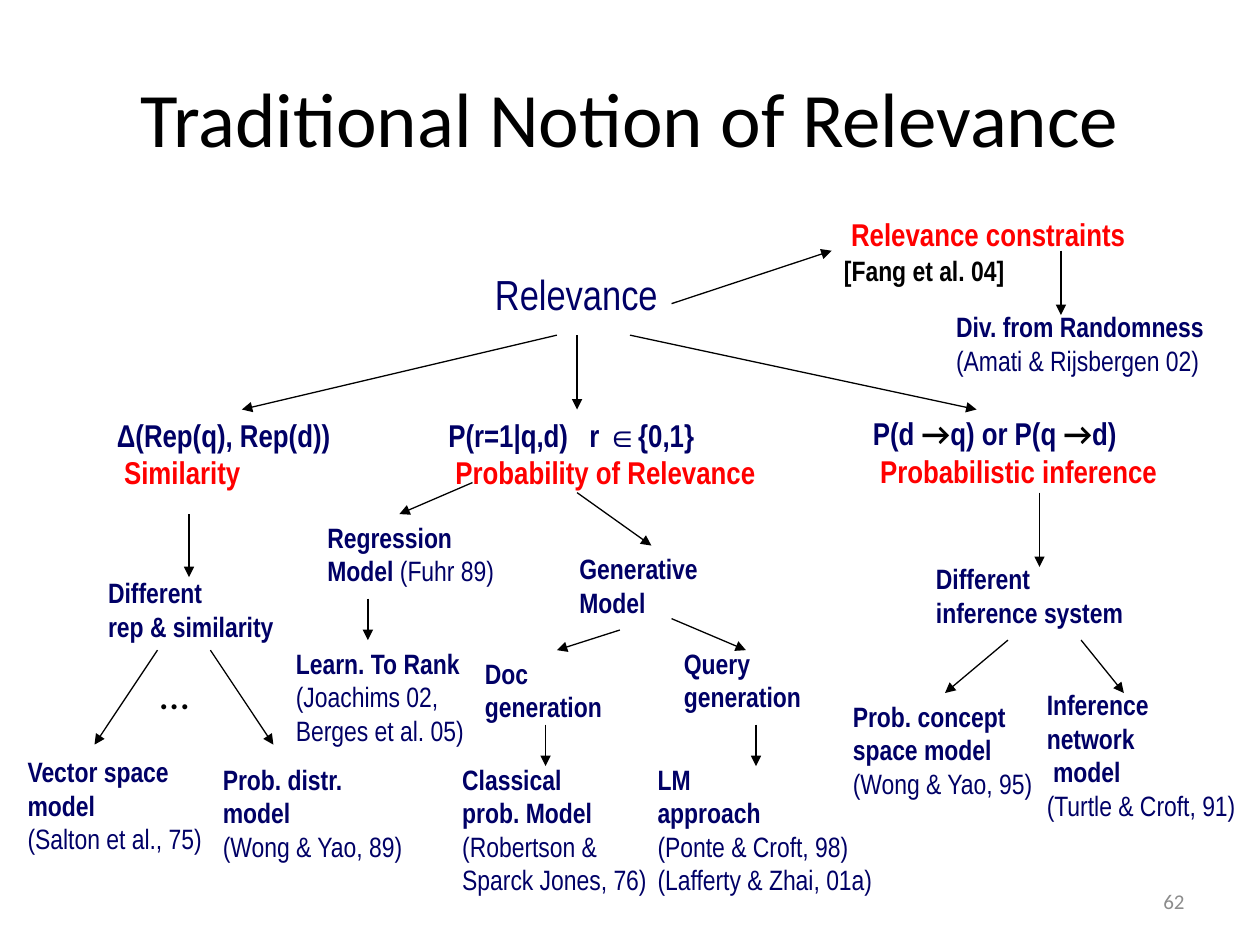
"""Build a slide showing a tree of traditional notions of relevance."""
import pptx
import pptx.util
import pptx.dml.color
import pptx.enum.shapes
import pptx.enum.text
import pptx.oxml
import pptx.oxml.ns

Inches = pptx.util.Inches
ALIGN = pptx.enum.text.PP_ALIGN
ANCHOR = pptx.enum.text.MSO_ANCHOR
FIT = pptx.enum.text.MSO_AUTO_SIZE
SLACK = 0.04

COLORS = {"navy": "000066", "red": "FF0000", "black": "000000", "gray": "8C8C8C"}


def style(size, color, bold=False, name="Arial Narrow"):
    return {"size": pptx.util.Pt(size), "bold": bold, "name": name, "color": color}


STYLES = {
    "title": style(44, "black", name="Calibri"),
    "root": style(24, "navy"),
    "head": style(18, "navy", True),
    "kind": style(18, "red", True),
    "sign": style(18, "black", True, "Calibri"),
    "model": style(16, "navy", True),
    "cite": style(16, "navy"),
    "note": style(16, "black", True),
    "dots": style(24, "black", name="Calibri"),
    "page": style(12, "gray", name="Calibri"),
}

BRANCHES = [
    (0.83, 3.25, 2.13, [[("head", "Δ(Rep(q), Rep(d))")], [("kind", " Similarity")]]),
    (3.46, 3.25, 2.64, [[("head", "P(r=1|q,d)\tr ∈{0,1}")],
                        [("kind", " Probability of Relevance")]]),
    (6.83, 3.24, 2.46, [[("head", "P(d "), ("sign", "→"), ("head", "q) or P(q "),
                         ("sign", "→"), ("head", "d)")],
                        [("kind", " Probabilistic inference")]]),
    (6.6, 1.66, 2.46, [[("kind", " Relevance constraints")],
                       [("note", "[Fang et al. 04]")]]),
    (2.5, 4.08, 1.54, [[("model", "Regression")],
                       [("model", "Model "), ("cite", "(Fuhr 89)")]]),
    (3.83, 2.08, 1.5, [[("root", "Relevance")]]),
    (1.17, 5.25, 0.53, [[("dots", "…")]]),
]

MODELS = [
    (0.76, 4.52, 1.56, ["Different", "rep & similarity"], []),
    (0.12, 5.94, 1.58, ["Vector space", "model"], ["(Salton et al., 75)"]),
    (1.67, 6, 1.64, ["Prob. distr.", "model"], ["(Wong & Yao, 89)"]),
    (4.5, 4.33, 1.14, ["Generative", "Model"], []),
    (3.57, 6, 1.67, ["Classical", "prob. Model"], ["(Robertson &", "Sparck Jones, 76)"]),
    (3.75, 5.16, 1.13, ["Doc", "generation"], []),
    (5.33, 5.08, 1.13, ["Query", "generation"], []),
    (5.12, 6, 1.91, ["LM", "approach"], ["(Ponte & Croft, 98)", "(Lafferty & Zhai, 01a)"]),
    (6.67, 5.5, 1.64, ["Prob. concept", "space model"], ["(Wong & Yao, 95)"]),
    (7.33, 4.41, 1.68, ["Different", "inference system"], []),
    (8.21, 5.41, 1.7, ["Inference", "network", " model"], ["(Turtle & Croft, 91)"]),
    (7.49, 2.41, 2.19, ["Div. from Randomness"], ["(Amati & Rijsbergen 02)"]),
    (2.25, 5.08, 1.55, ["Learn. To Rank"], ["(Joachims 02,", "Berges et al. 05)"]),
]

ARROWS = [
    (4.42, 2.66, 1.92, 3.25), (4.58, 2.66, 4.58, 3.25), (5, 2.66, 7.75, 3.25),
    (5.33, 2.41, 6.6, 1.99), (8.42, 1.99, 8.42, 2.5),
    (1.5, 4.08, 1.5, 4.58), (1.25, 5.16, 0.75, 5.91), (1.67, 5.16, 2.17, 5.91),
    (3.75, 3.83, 3.17, 4.08), (4.58, 3.91, 5.17, 4.33), (2.92, 4.75, 2.92, 5.08),
    (4.92, 5, 4.42, 5.16), (5.33, 4.91, 5.92, 5.16),
    (4.33, 5.75, 4.33, 6.08), (6, 5.75, 6, 6.08),
    (8.25, 3.91, 8.25, 4.5), (8, 5.08, 7.5, 5.5), (8.58, 5.08, 8.92, 5.5),
]


def rgb(name):
    return pptx.dml.color.RGBColor.from_string(COLORS[name])


def add_tab(para, place):
    tabs = pptx.oxml.parse_xml(
        f'<a:tabLst {pptx.oxml.ns.nsdecls("a")}>'
        f'<a:tab pos="{Inches(place)}" algn="l"/></a:tabLst>')
    para._p.get_or_add_pPr().append(tabs)


def add_run(para, kind, text):
    run = para.add_run()
    run.text = text
    for key, value in STYLES[kind].items():
        if key == "color":
            run.font.color.rgb = rgb(value)
        else:
            setattr(run.font, key, value)


def add_text(slide, box, lines, align=ALIGN.LEFT, **form):
    shape = slide.shapes.add_textbox(*map(Inches, box))
    frame = shape.text_frame
    for key, value in form.items():
        setattr(frame, key, value)
    for i, line in enumerate(lines):
        para = frame.add_paragraph() if i else frame.paragraphs[0]
        para.alignment = align
        if any("\t" in text for _, text in line):
            add_tab(para, 1.12)
        for kind, text in line:
            add_run(para, kind, text)


def add_node(slide, left, top, width, lines):
    height = 0.1 + sum(STYLES[line[0][0]]["size"].pt for line in lines) / 60
    add_text(slide, (left, top, width + SLACK, height), lines,
             word_wrap=False, auto_size=FIT.SHAPE_TO_FIT_TEXT)


def add_model(slide, left, top, width, names, cites):
    lines = [[("model", name)] for name in names]
    lines += [[("cite", cite)] for cite in cites]
    add_node(slide, left, top, width, lines)


def add_arrow(slide, ends):
    link = slide.shapes.add_connector(
        pptx.enum.shapes.MSO_CONNECTOR.STRAIGHT, *map(Inches, ends))
    link.line.width = pptx.util.Pt(0.75)
    link.line.color.rgb = rgb("black")
    space = pptx.oxml.ns.nsdecls("a")
    link.line._get_or_add_ln().append(
        pptx.oxml.parse_xml(f'<a:tailEnd {space} type="triangle"/>'))
    link._element.spPr.append(pptx.oxml.parse_xml(f"<a:effectLst {space}/>"))


def main():
    deck = pptx.Presentation()
    deck.slide_width, deck.slide_height = Inches(10), Inches(7.5)
    slide = deck.slides.add_slide(deck.slide_layouts[6])
    middle = {"word_wrap": True, "vertical_anchor": ANCHOR.MIDDLE}
    add_text(slide, (0.5, 0.3, 9, 1.25), [[("title", "Traditional Notion of Relevance")]],
             ALIGN.CENTER, **middle)
    for node in BRANCHES:
        add_node(slide, *node)
    for model in MODELS:
        add_model(slide, *model)
    for ends in ARROWS:
        add_arrow(slide, ends)
    add_text(slide, (7.17, 6.95, 2.33, 0.4), [[("page", "62")]], ALIGN.RIGHT, **middle)
    deck.save("out.pptx")


if __name__ == "__main__":
    main()
